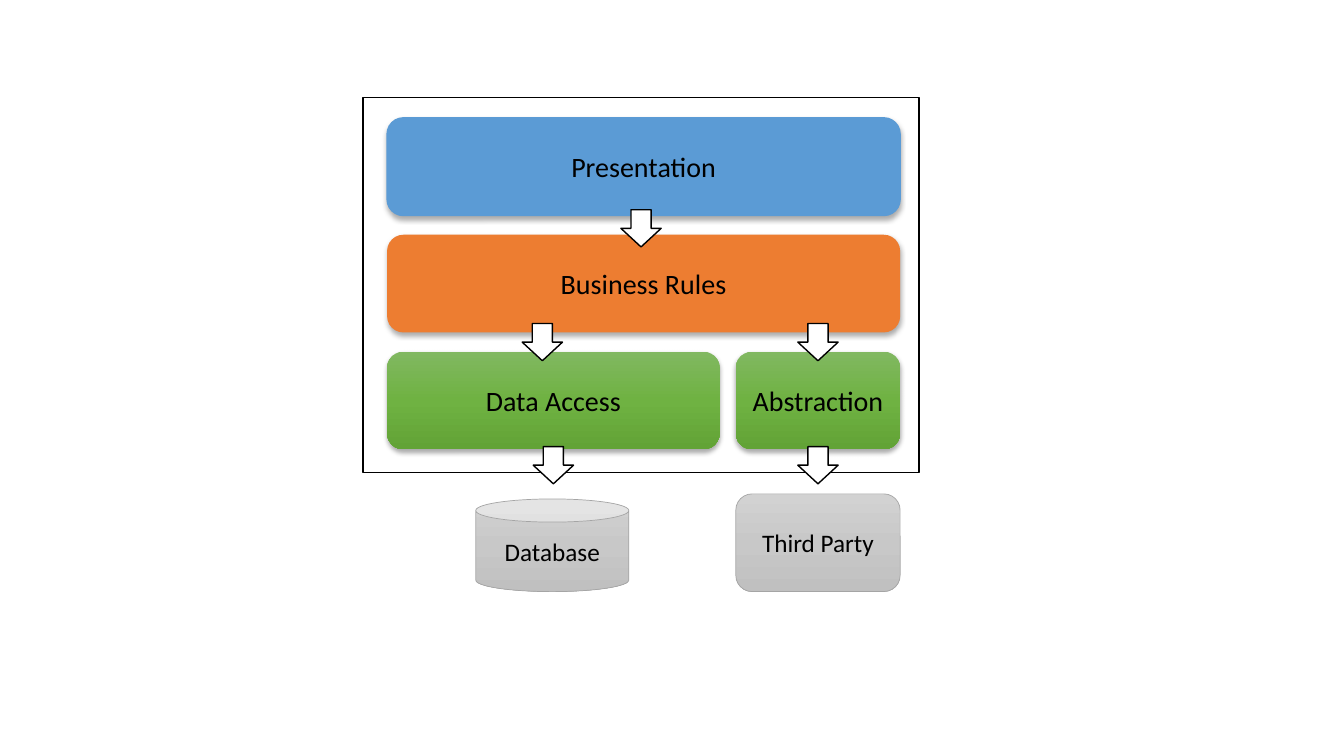
from copy import deepcopy

from lxml.etree import SubElement
from pptx import Presentation
from pptx.dml.color import RGBColor
from pptx.enum.shapes import MSO_SHAPE
from pptx.enum.text import MSO_ANCHOR, PP_ALIGN
from pptx.oxml.ns import qn
from pptx.util import Pt

# Shared grid, in points
LEFT, WIDTH = 276.5, 366.5
TOP, PITCH, LAYER_HEIGHT = 84.2, 83.5, 69.8
SIDE_LEFT, SIDE_WIDTH = 525.6, 117.4
ARROW_WIDTH, ARROW_HEIGHT = 28.8, 26.6

BLACK, WHITE, BLUE, ORANGE = "000000", "FFFFFF", "5B9BD5", "ED7D31"
GREENS = ("81B861", "6FB242", "62A336")
GRAYS = ("D2D2D2", "C8C8C8", "C0C0C0")
GRAY_LINE = "A5A5A5"


def color(hex_value):
    return RGBColor.from_string(hex_value)


def fill_gradient(shape, shades):
    """Fill from top to bottom with evenly spaced shades."""
    shape.fill.gradient()
    shape.fill.gradient_angle = 270
    stop_list = shape.element.spPr.find(".//" + qn("a:gsLst"))
    while len(stop_list) < len(shades):
        stop_list.append(deepcopy(stop_list[-1]))
    for i, (stop, shade) in enumerate(zip(shape.fill.gradient_stops, shades)):
        stop.position = i / (len(shades) - 1)
        stop.color.rgb = color(shade)


def add_shadow(shape):
    effects = shape.element.spPr.find(qn("a:effectLst"))
    shadow = SubElement(effects, qn("a:outerShdw"), blurRad=str(Pt(3.5)),
                        dist=str(Pt(2.2)), dir="5400000", rotWithShape="0")
    tint = SubElement(shadow, qn("a:srgbClr"), val=BLACK)
    SubElement(tint, qn("a:alpha"), val="32000")


def add_box(slide, kind, left, top, width, height, fill, line=None, weight=1):
    box = slide.shapes.add_shape(kind, Pt(left), Pt(top), Pt(width), Pt(height))
    box.shadow.inherit = False
    if isinstance(fill, tuple):
        fill_gradient(box, fill)
    else:
        box.fill.solid()
        box.fill.fore_color.rgb = color(fill)
    if line:
        box.line.color.rgb = color(line)
        box.line.width = Pt(weight)
    else:
        box.line.fill.background()
    return box


def write(shape, text, size=20, font="Calibri", ink=BLACK, align=PP_ALIGN.CENTER):
    frame = shape.text_frame
    frame.word_wrap = True
    frame.vertical_anchor = MSO_ANCHOR.MIDDLE
    paragraph = frame.paragraphs[0]
    paragraph.alignment = align
    run = paragraph.add_run()
    run.text = text
    run.font.size = Pt(size)
    run.font.name = font
    run.font.color.rgb = color(ink)


def add_layer(slide, text, row, left, width, fill, line=None):
    layer = add_box(slide, MSO_SHAPE.ROUNDED_RECTANGLE, left, TOP + row * PITCH,
                    width, LAYER_HEIGHT, fill, line)
    add_shadow(layer)
    write(layer, text)


def add_external(slide, text, kind, left, top, width, height):
    external = add_box(slide, kind, left, top, width, height, GRAYS, GRAY_LINE, 0.5)
    write(external, text, size=18)


def add_arrow(slide, left, top):
    add_box(slide, MSO_SHAPE.DOWN_ARROW, left, top, ARROW_WIDTH, ARROW_HEIGHT,
            WHITE, BLACK)


def main():
    deck = Presentation()
    deck.slide_width, deck.slide_height = Pt(960), Pt(540)
    slide = deck.slides.add_slide(deck.slide_layouts[6])

    # Application boundary
    add_box(slide, MSO_SHAPE.RECTANGLE, 259.2, 69.8, 397.4, 267.8, WHITE, BLACK)

    # Systems outside the application
    add_external(slide, "Database", MSO_SHAPE.CAN, 339.8, 356.4, 109.4, 66.2)
    add_external(slide, "Third Party", MSO_SHAPE.ROUNDED_RECTANGLE,
                 SIDE_LEFT, 352.8, SIDE_WIDTH, LAYER_HEIGHT)

    # Application layers
    add_layer(slide, "Presentation", 0, LEFT, WIDTH, BLUE, BLUE)
    add_layer(slide, "Business Rules", 1, LEFT, WIDTH, ORANGE)
    add_layer(slide, "Data Access", 2, LEFT, 237.6, GREENS)
    add_layer(slide, "Abstraction", 2, SIDE_LEFT, SIDE_WIDTH, GREENS)

    # Dependencies between layers
    side_arrow = SIDE_LEFT + (SIDE_WIDTH - ARROW_WIDTH) / 2
    for top, lefts in ((149.8, (443.5,)),
                       (231.1, (373, side_arrow)),
                       (319, (380.9, side_arrow))):
        for left in lefts:
            add_arrow(slide, left, top)

    deck.save("out.pptx")


main()
